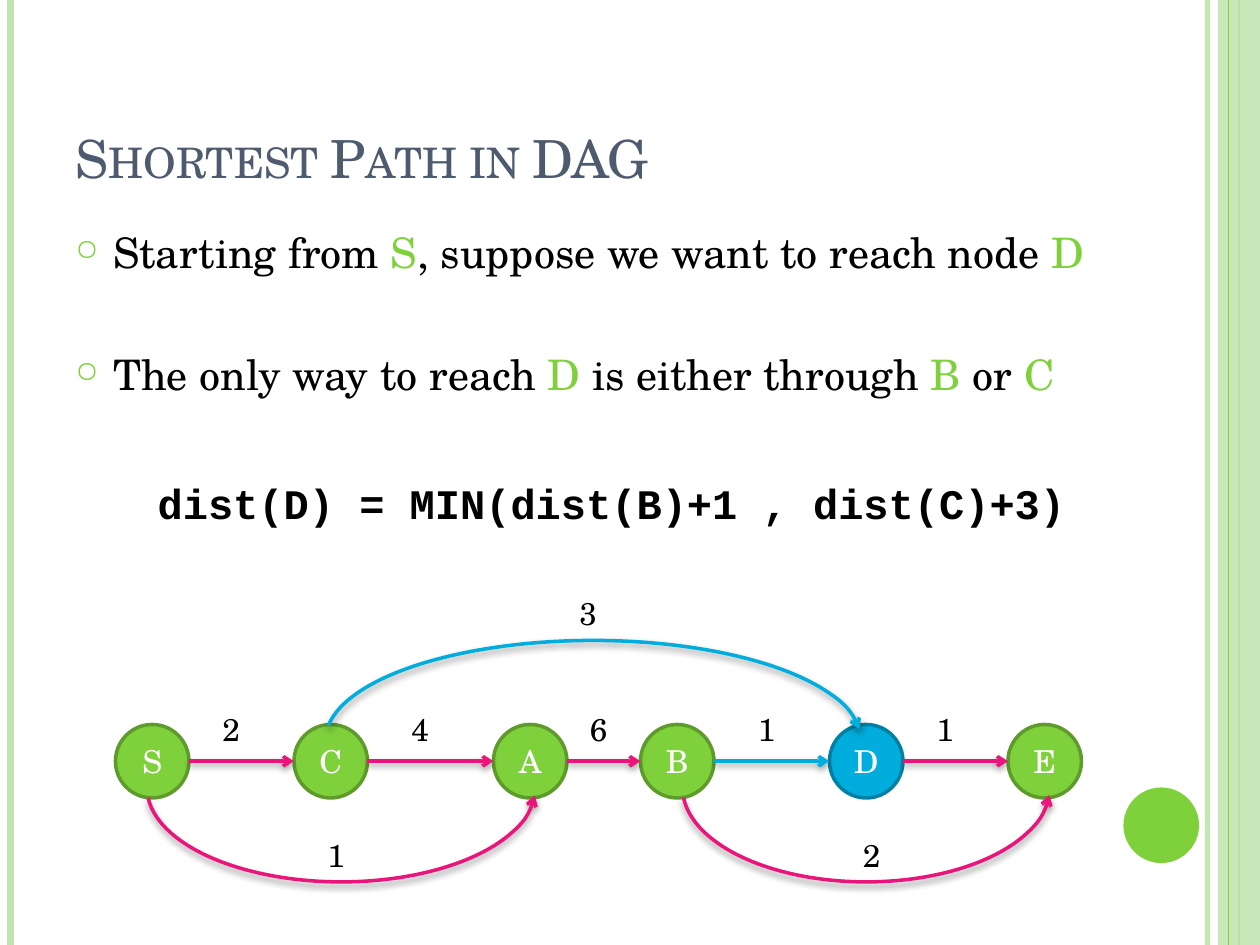
"""Build a slide on the shortest path in a directed acyclic graph."""
from lxml import etree
from pptx import Presentation
from pptx import util as u
from pptx.dml.color import RGBColor
from pptx.enum import shapes, text
from pptx.oxml import ns

GREEN = RGBColor(0x7F, 0xD1, 0x3B)
DARK_GREEN = RGBColor(0x5E, 0x9B, 0x2C)
PALE_GREEN = RGBColor(0xC0, 0xE5, 0xAF)
BLUE = RGBColor(0x00, 0xAD, 0xDC)
DARK_BLUE = RGBColor(0x00, 0x80, 0xA3)
PINK = RGBColor(0xEA, 0x15, 0x7A)
SLATE = RGBColor(0x4E, 0x5B, 0x6F)
BLACK = RGBColor(0, 0, 0)
WHITE = RGBColor(0xFF, 0xFF, 0xFF)
SERIF = "TeX Gyre Schola"
MONO = "Courier New"
NODE_SIZE = 42
NODE_TOP = 414
NODE_LEFTS = {"S": 66, "C": 168, "A": 282, "B": 366, "D": 474, "E": 576}


def add_element(parent, tag, **attributes):
    """Append a drawing element with the given attributes."""
    element = etree.SubElement(parent, ns.qn(tag))
    for name, value in attributes.items():
        element.set(name, str(value))
    return element


def set_alpha(color_format_parent, percent):
    """Make the colour inside an element partly transparent."""
    color = next(color_format_parent.iter(ns.qn("a:srgbClr")))
    add_element(color, "a:alpha", val=percent * 1000)


def set_effects(shape, shadow):
    """Give a shape or connector a soft shadow below, or none."""
    effects = add_element(shape._element.spPr, "a:effectLst")
    if shadow:
        outer = add_element(effects, "a:outerShdw", blurRad=u.Pt(4), dist=u.Pt(2),
                            dir=5400000, rotWithShape=0)
        color = add_element(outer, "a:srgbClr", val=BLACK)
        add_element(color, "a:alpha", val=40000)


def style_line(shape, color, width):
    """Set line colour and width."""
    shape.line.color.rgb = color
    shape.line.width = u.Pt(width)


def add_arrowhead(shape):
    """Put an open arrowhead at the end of a line."""
    add_element(shape.line._get_or_add_ln(), "a:tailEnd", type="arrow")


def add_line(slide, start, end, color, width):
    """Draw a straight line."""
    line = slide.shapes.add_connector(
        shapes.MSO_CONNECTOR.STRAIGHT, *(u.Pt(value) for value in start + end))
    style_line(line, color, width)
    return line


def add_shape(slide, kind, box, fill):
    """Draw a preset shape, unfilled if no colour is given."""
    shape = slide.shapes.add_shape(kind, *(u.Pt(value) for value in box))
    if fill is None:
        shape.fill.background()
    else:
        shape.fill.solid()
        shape.fill.fore_color.rgb = fill
    shape.line.fill.background()
    return shape


def add_text_box(slide, box, wrap=True):
    """Add an empty text box and return its frame."""
    frame = slide.shapes.add_textbox(*(u.Pt(value) for value in box)).text_frame
    frame.word_wrap = wrap
    return frame


def format_run(run, size, color, font=SERIF, bold=False):
    """Set the font of one run."""
    run.font.size = u.Pt(size)
    run.font.color.rgb = color
    run.font.name = font
    run.font.bold = bold


def add_decoration(slide):
    """Draw the side stripes and the corner dot."""
    set_alpha(add_line(slide, (690, 0), (690, 540), PALE_GREEN, 3)._element.spPr, 93)
    add_line(slide, (6, 0), (6, 540), PALE_GREEN, 4.5)
    add_line(slide, (708, 0), (708, 540), GREEN, 1.5)
    band = add_shape(slide, shapes.MSO_SHAPE.RECTANGLE, (696, 0, 24, 540), PALE_GREEN)
    set_alpha(band._element.spPr, 87)
    add_line(slide, (702, 0), (702, 540), GREEN, 0.75)
    dot = add_shape(slide, shapes.MSO_SHAPE.OVAL, (642, 450, 43.2, 43.2), GREEN)
    for shape in slide.shapes:
        set_effects(shape, False)
    return dot


def add_title(slide, title):
    """Add the title in small capitals."""
    frame = add_text_box(slide, (36, 21.6, 588, 90))
    frame.vertical_anchor = text.MSO_ANCHOR.BOTTOM
    frame.text = title
    run = frame.paragraphs[0].runs[0]
    format_run(run, 30, SLATE)
    run._r.get_or_add_rPr().set("cap", "small")


def add_bullet(paragraph, parts, space_before):
    """Fill a bulleted paragraph, with every second part in green."""
    paragraph.space_before = u.Pt(space_before)
    properties = paragraph._p.get_or_add_pPr()
    properties.set("marL", str(u.Pt(21.6)))
    properties.set("indent", str(u.Pt(-21.6)))
    color = add_element(properties, "a:buClr")
    add_element(color, "a:srgbClr", val=GREEN)
    add_element(properties, "a:buSzPct", val=70000)
    add_element(properties, "a:buChar", char="○")
    for index, part in enumerate(parts):
        run = paragraph.add_run()
        run.text = part
        format_run(run, 24, GREEN if index % 2 else BLACK)


def add_body(slide):
    """Add the two bullets and the formula."""
    frame = add_text_box(slide, (36, 126, 642, 228))
    add_bullet(frame.paragraphs[0],
               ["Starting from ", "S", ", suppose we want to reach node ", "D"], 6)
    add_bullet(frame.add_paragraph(),
               ["The only way to reach ", "D", " is either through ", "B", " or ", "C"], 41)
    formula = frame.add_paragraph()
    formula.text = "dist(D) = MIN(dist(B)+1 , dist(C)+3)"
    formula.space_before = u.Pt(44.5)
    formula._p.get_or_add_pPr().set("marL", str(u.Pt(47)))
    format_run(formula.runs[0], 24, BLACK, MONO, True)


def add_node(slide, name, left):
    """Draw a graph node; the target D is blue."""
    fill, outline = (BLUE, DARK_BLUE) if name == "D" else (GREEN, DARK_GREEN)
    node = add_shape(slide, shapes.MSO_SHAPE.OVAL,
                     (left, NODE_TOP, NODE_SIZE, NODE_SIZE), fill)
    style_line(node, outline, 2)
    set_effects(node, False)
    frame = node.text_frame
    frame.vertical_anchor = text.MSO_ANCHOR.MIDDLE
    frame.text = name
    frame.paragraphs[0].alignment = text.PP_ALIGN.CENTER
    format_run(frame.paragraphs[0].runs[0], 18, WHITE)


def add_weight(slide, weight, left, top):
    """Write the weight of an edge."""
    frame = add_text_box(slide, (left, top, 26, 29), wrap=False)
    frame.text = weight
    format_run(frame.paragraphs[0].runs[0], 18, BLACK)


def add_straight_edge(slide, source, target, color):
    """Join two neighbouring nodes."""
    middle = NODE_TOP + NODE_SIZE / 2
    edge = add_line(slide, (NODE_LEFTS[source] + NODE_SIZE, middle),
                    (NODE_LEFTS[target], middle), color, 2)
    add_arrowhead(edge)
    set_effects(edge, True)


def add_curved_edge(slide, box, color, below):
    """Draw an edge that arches above or below the nodes."""
    edge = add_shape(slide, shapes.MSO_SHAPE.ARC, box, None)
    edge.adjustments[0] = 109.92
    edge.adjustments[1] = 214.59
    if below:
        edge._element.spPr.find(ns.qn("a:xfrm")).set("flipV", "1")
    style_line(edge, color, 2)
    add_arrowhead(edge)
    set_effects(edge, True)


def main():
    """Build and save the slide."""
    presentation = Presentation()
    presentation.slide_width, presentation.slide_height = u.Pt(720), u.Pt(540)
    slide = presentation.slides.add_slide(presentation.slide_layouts[6])
    add_decoration(slide)
    add_title(slide, "Shortest Path in DAG")
    for name, left in NODE_LEFTS.items():
        add_node(slide, name, left)
    for source, target, weight, left in (("S", "C", "2", 120), ("C", "A", "4", 228),
                                         ("A", "B", "6", 330), ("B", "D", "1", 426),
                                         ("D", "E", "1", 528)):
        add_straight_edge(slide, source, target, BLUE if target == "D" else PINK)
        add_weight(slide, weight, left, 402)
    for box, color, below, weight, left, top in (
            ((84, 396, 222, 108), PINK, True, "1", 180, 474),
            ((186, 366, 306, 114), BLUE, False, "3", 324, 336),
            ((390, 396, 210, 108), PINK, True, "2", 486, 474)):
        add_curved_edge(slide, box, color, below)
        add_weight(slide, weight, left, top)
    add_body(slide)
    presentation.save("out.pptx")


if __name__ == "__main__":
    main()
